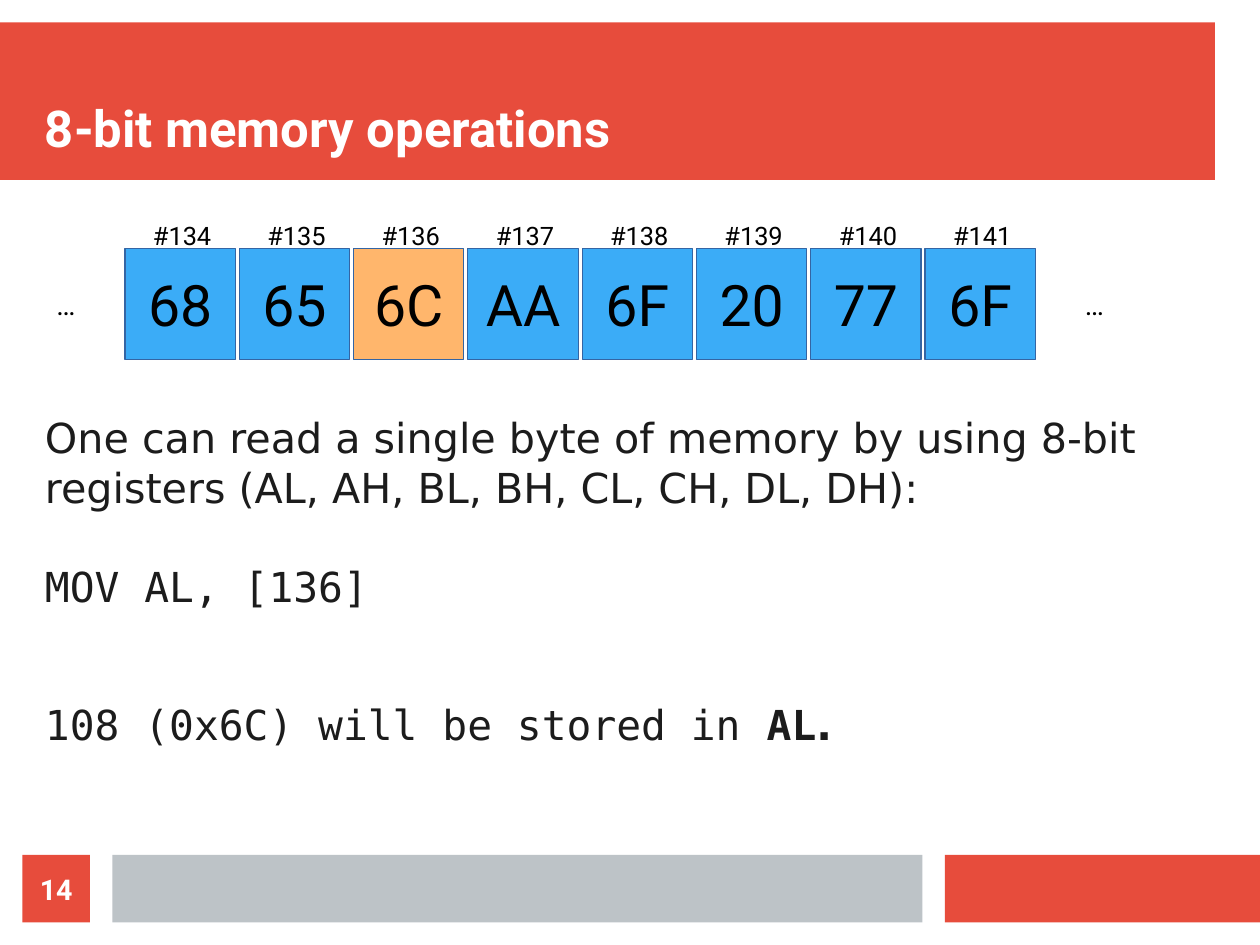
"""Build the slide on 8-bit memory operations."""
from dataclasses import dataclass

from pptx import Presentation
from pptx.dml.color import RGBColor
from pptx.enum.shapes import MSO_SHAPE
from pptx.enum.text import MSO_ANCHOR, PP_ALIGN
from pptx.shapes.autoshape import Shape
from pptx.slide import Slide
from pptx.text.text import TextFrame
from pptx.util import Pt

RECTANGLE = MSO_SHAPE.RECTANGLE
TOP, MIDDLE, BOTTOM = MSO_ANCHOR.TOP, MSO_ANCHOR.MIDDLE, MSO_ANCHOR.BOTTOM
LEFT, CENTER = PP_ALIGN.LEFT, PP_ALIGN.CENTER

RED = RGBColor(0xE7, 0x4C, 0x3C)
GRAY = RGBColor(0xBD, 0xC3, 0xC7)
BLUE = RGBColor(0x3B, 0xAC, 0xF7)
ORANGE = RGBColor(0xFF, 0xB6, 0x6C)
OUTLINE = RGBColor(0x34, 0x65, 0xA4)
WHITE = RGBColor(0xFF, 0xFF, 0xFF)
BLACK = RGBColor(0x00, 0x00, 0x00)
INK = RGBColor(0x1C, 0x1C, 0x1C)

HEADING_FONT = "Roboto"
BODY_FONT = "DejaVu Sans"
CODE_FONT = "DejaVu Sans Mono"

MEMORY_BYTES = ["68", "65", "6C", "AA", "6F", "20", "77", "6F"]
FIRST_ADDRESS = 134
READ_ADDRESS = 136
CELLS_LEFT, CELLS_TOP = 78.75, 156.75
CELL_PITCH, CELL_SIZE = 72, 69.5
LABEL_TOP, LABEL_HEIGHT = 139.7, 17.3


@dataclass(frozen=True)
class Box:
    """Position and size in points."""
    left: float
    top: float
    width: float
    height: float


@dataclass(frozen=True)
class Style:
    """Look of a piece of text."""
    size: float
    color: RGBColor
    font: str = HEADING_FONT
    bold: bool = False


@dataclass(frozen=True)
class BodyParagraph:
    """Runs of text with the space that follows them."""
    runs: list[tuple[str, Style]]
    space_after: float = 0


TITLE = Style(32, WHITE, bold=True)
PAGE_NUMBER = Style(18, WHITE, bold=True)
BYTE = Style(36, BLACK)
ADDRESS = Style(16, BLACK)
ELLIPSIS = Style(18, BLACK)
BODY = Style(26, INK, BODY_FONT)
BODY_BOLD = Style(26, INK, BODY_FONT, bold=True)
CODE = Style(26, INK, CODE_FONT)
CODE_BOLD = Style(26, INK, CODE_FONT, bold=True)

BODY_PARAGRAPHS = [
    BodyParagraph([("One can read a single byte of memory by using 8-bit "
                    "registers (AL, AH, BL, BH, CL, CH, DL, DH):", BODY)], 31),
    BodyParagraph([("MOV AL, [136]", CODE)], 56),
    BodyParagraph([("108 (0x6C) will be stored in ", CODE),
                   ("AL", CODE_BOLD), (".", BODY_BOLD)]),
]


def add_rectangle(slide: Slide, box: Box, fill: RGBColor,
                  outline: RGBColor | None = None) -> Shape:
    """Draw a flat rectangle."""
    shape = slide.shapes.add_shape(
        RECTANGLE, Pt(box.left), Pt(box.top), Pt(box.width), Pt(box.height))
    shape.shadow.inherit = False
    shape.fill.solid()
    shape.fill.fore_color.rgb = fill
    if outline is None:
        shape.line.fill.background()
    else:
        shape.line.color.rgb = outline
        shape.line.width = Pt(0)
    return shape


def add_text_box(slide: Slide, box: Box) -> Shape:
    """Add an empty text box."""
    return slide.shapes.add_textbox(
        Pt(box.left), Pt(box.top), Pt(box.width), Pt(box.height))


def write_paragraphs(shape: Shape, paragraphs: list[BodyParagraph],
                     alignment: PP_ALIGN, anchor: MSO_ANCHOR, wrap: bool) -> None:
    """Fill a shape with styled paragraphs."""
    text_frame: TextFrame = shape.text_frame
    text_frame.margin_left = text_frame.margin_right = 0
    text_frame.margin_top = text_frame.margin_bottom = 0
    text_frame.vertical_anchor = anchor
    text_frame.word_wrap = wrap
    for index, content in enumerate(paragraphs):
        paragraph = text_frame.add_paragraph() if index else text_frame.paragraphs[0]
        paragraph.alignment = alignment
        paragraph.space_after = Pt(content.space_after)
        for text, style in content.runs:
            run = paragraph.add_run()
            run.text = text
            run.font.name = style.font
            run.font.size = Pt(style.size)
            run.font.bold = style.bold
            run.font.color.rgb = style.color


def write_centered(shape: Shape, text: str, style: Style) -> None:
    """Write one line in the middle of a shape."""
    write_paragraphs(shape, [BodyParagraph([(text, style)])], CENTER, MIDDLE, False)


def cell_box(index: int) -> Box:
    """Return the place of a memory cell."""
    return Box(CELLS_LEFT + index * CELL_PITCH, CELLS_TOP, CELL_SIZE, CELL_SIZE)


def add_memory(slide: Slide) -> None:
    """Draw the row of memory cells with their addresses."""
    for index, value in enumerate(MEMORY_BYTES):
        address = FIRST_ADDRESS + index
        box = cell_box(index)
        fill = ORANGE if address == READ_ADDRESS else BLUE
        write_centered(add_rectangle(slide, box, fill, OUTLINE), value, BYTE)
        label = add_text_box(slide, Box(box.left, LABEL_TOP, CELL_PITCH, LABEL_HEIGHT))
        write_centered(label, f"#{address}", ADDRESS)
    for index in (-1, len(MEMORY_BYTES)):
        write_centered(add_text_box(slide, cell_box(index)), "…", ELLIPSIS)


def main() -> None:
    """Create and save the presentation."""
    presentation = Presentation()
    presentation.slide_width = Pt(793.7)
    presentation.slide_height = Pt(595.28)
    slide = presentation.slides.add_slide(presentation.slide_layouts[6])

    add_rectangle(slide, Box(0, 14.17, 765.35, 99.21), RED)
    add_rectangle(slide, Box(595.28, 538.58, 198.42, 42.52), RED)
    add_rectangle(slide, Box(70.87, 538.58, 510.24, 42.52), GRAY)

    title = add_text_box(slide, Box(28.35, 28.35, 737, 70.87))
    write_paragraphs(title, [BodyParagraph([("8-bit memory operations", TITLE)])],
                     LEFT, BOTTOM, True)
    body = add_text_box(slide, Box(28.35, 260, 723, 244))
    write_paragraphs(body, BODY_PARAGRAPHS, LEFT, TOP, True)
    add_memory(slide)

    page = add_rectangle(slide, Box(14.17, 538.58, 42.52, 42.52), RED)
    write_centered(page, "14", PAGE_NUMBER)
    presentation.save("out.pptx")


if __name__ == "__main__":
    main()
